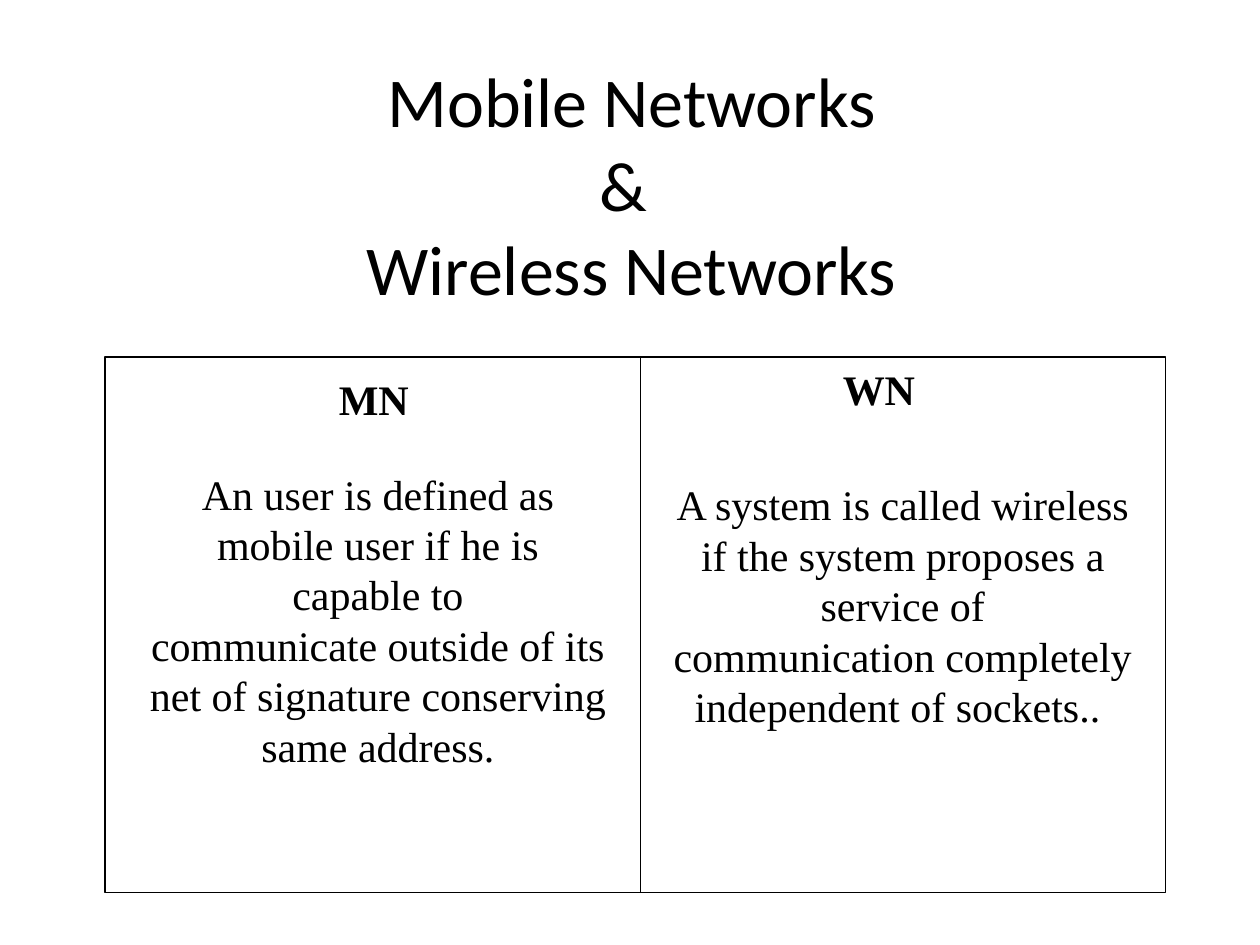
"""Build a slide comparing mobile networks with wireless networks."""
from dataclasses import dataclass

from lxml.etree import SubElement
from pptx import Presentation
from pptx.dml.color import RGBColor
from pptx.enum.shapes import MSO_CONNECTOR, MSO_SHAPE
from pptx.enum.text import MSO_ANCHOR, MSO_AUTO_SIZE, PP_ALIGN
from pptx.oxml.ns import qn
from pptx.slide import Slide
from pptx.util import Cm, Pt

BLACK = RGBColor(0, 0, 0)
LINE_WIDTH = Pt(0.75)
FRAME_LEFT, FRAME_TOP = Cm(2.12), Cm(7.2)
FRAME_WIDTH, FRAME_HEIGHT = Cm(21.38), Cm(10.79)
DIVIDER_X = Cm(12.91)


@dataclass(frozen=True)
class TextBlock:
    left: float
    top: float
    width: float
    height: float
    paragraphs: tuple[str, ...]
    heading: bool = False


BLOCKS = (
    TextBlock(6.58, 7.41, 1.91, 1.27, ("MN",), heading=True),
    TextBlock(16.74, 7.2, 1.96, 1.27, ("WN",), heading=True),
    TextBlock(2.75, 9.31, 9.74, 6.35, (
        "An user is defined as mobile user if he is capable to",
        "communicate outside of its net of signature conserving",
        "same address.",
    )),
    TextBlock(13.12, 9.53, 10.16, 5.33, (
        "A system is called wireless if the system proposes a service of",
        "communication completely independent of sockets.. ",
    )),
)


def add_title(slide: Slide) -> None:
    title = slide.shapes.title
    title.left, title.top = Cm(1.3), Cm(0.58)
    title.width, title.height = Cm(22.86), Cm(4.7)
    frame = title.text_frame
    frame.auto_size = MSO_AUTO_SIZE.NONE
    frame.vertical_anchor = MSO_ANCHOR.TOP
    frame.margin_top = Cm(0.58)
    frame.text = "Mobile Networks\v& \vWireless Networks"
    heading = frame.paragraphs[0]
    heading.alignment = PP_ALIGN.CENTER
    heading.font.name = "Calibri"
    heading.font.size = Pt(40)
    heading.font.color.rgb = BLACK


def add_frame(slide: Slide) -> None:
    border = slide.shapes.add_shape(
        MSO_SHAPE.RECTANGLE, FRAME_LEFT, FRAME_TOP, FRAME_WIDTH, FRAME_HEIGHT)
    border.shadow.inherit = False
    border.fill.background()
    divider = slide.shapes.add_connector(
        MSO_CONNECTOR.STRAIGHT,
        DIVIDER_X, FRAME_TOP, DIVIDER_X, FRAME_TOP + FRAME_HEIGHT)
    for outline in (border.line, divider.line):
        outline.color.rgb = BLACK
        outline.width = LINE_WIDTH
    SubElement(divider.line._get_or_add_ln().getparent(), qn("a:effectLst"))


def add_block(slide: Slide, block: TextBlock) -> None:
    frame = slide.shapes.add_textbox(
        Cm(block.left), Cm(block.top), Cm(block.width), Cm(block.height)
    ).text_frame
    frame.word_wrap = not block.heading
    frame.auto_size = MSO_AUTO_SIZE.SHAPE_TO_FIT_TEXT
    frame.text = "\n".join(block.paragraphs)
    for paragraph in frame.paragraphs:
        paragraph.alignment = PP_ALIGN.LEFT if block.heading else PP_ALIGN.CENTER
        paragraph.font.name = "Times New Roman"
        paragraph.font.size = Pt(24)
        paragraph.font.bold = block.heading
        paragraph.font.color.rgb = BLACK


def main() -> None:
    presentation = Presentation()
    presentation.slide_width, presentation.slide_height = Cm(25.4), Cm(19.05)
    slide = presentation.slides.add_slide(presentation.slide_layouts[5])
    add_title(slide)
    add_frame(slide)
    for block in BLOCKS:
        add_block(slide, block)
    presentation.save("out.pptx")


if __name__ == "__main__":
    main()
